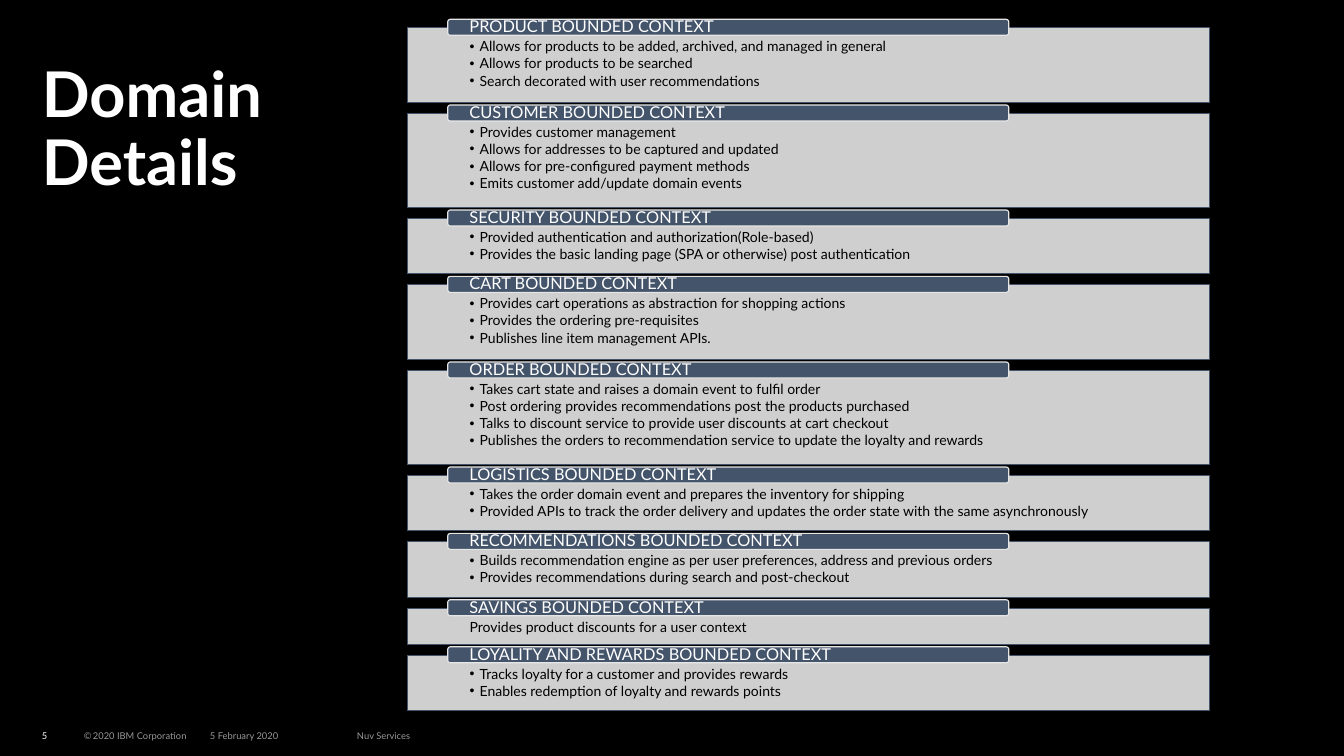
from lxml import etree
from pptx import Presentation
from pptx.dml.color import RGBColor
from pptx.enum import shapes, text
from pptx.oxml import ns
from pptx.util import Inches, Pt

HUES = {"black": "000000", "white": "FFFFFF", "pale": "E7E6E6", "slate": "44546A"}

CARDS = [
    ("PRODUCT BOUNDED CONTEXT", [
        "Allows for products to be added, archived, and managed in general",
        "Allows for products to be searched",
        "Search decorated with user recommendations"]),
    ("CUSTOMER BOUNDED CONTEXT", [
        "Provides customer management",
        "Allows for addresses to be captured and updated",
        "Allows for pre-configured payment methods",
        "Emits customer add/update domain events"]),
    ("SECURITY BOUNDED CONTEXT", [
        "Provided authentication and authorization(Role-based)",
        "Provides the basic landing page (SPA or otherwise) post authentication"]),
    ("CART BOUNDED CONTEXT", [
        "Provides cart operations as abstraction for shopping actions",
        "Provides the ordering pre-requisites",
        "Publishes line item management APIs."]),
    ("ORDER BOUNDED CONTEXT", [
        "Takes cart state and raises a domain event to fulfil order",
        "Post ordering provides recommendations post the products purchased",
        "Talks to discount service to provide user discounts at cart checkout",
        "Publishes the orders to recommendation service to update the loyalty and rewards"]),
    ("LOGISTICS BOUNDED CONTEXT", [
        "Takes the order domain event and prepares the inventory for shipping",
        "Provided APIs to track the order delivery and updates the order state"
        " with the same asynchronously"]),
    ("RECOMMENDATIONS BOUNDED CONTEXT", [
        "Builds recommendation engine as per user preferences, address and previous orders",
        "Provides recommendations during search and post-checkout"]),
    ("SAVINGS BOUNDED CONTEXT", [
        "Provides product discounts for a user context"]),
    ("LOYALITY AND REWARDS BOUNDED CONTEXT", [
        "Tracks loyalty for a customer and provides rewards",
        "Enables redemption of loyalty and rewards points"]),
]

# Footer parts: left, width, opacity in percent, runs with their sizes
FOOTS = [
    (0.5, 0.36, 100, [("5", 8)]),
    (1, 2.5, 60, [("©", 8), (" ", 4), ("2020 IBM Corporation", 8)]),
    (2.5, 1.5, 60, [("5 February 2020", 8)]),
    (4.25, 2.5, 60, [("Nuv Services", 8)]),
]


def add_run(para, words, size, hue, bold=False, alpha=100):
    run = para.add_run()
    run.text = words
    run.font.name = "Lato"
    run.font.size = Pt(size)
    run.font.bold = bold
    run.font.color.rgb = RGBColor.from_string(HUES[hue])
    if alpha < 100:
        fade(run.font.color, run._r, alpha)


def fade(color, node, alpha):
    """Set the opacity, in percent, of the first colour under a node."""
    tone = next(node.iter(ns.qn("a:srgbClr")))
    etree.SubElement(tone, ns.qn("a:alpha"), val=str(alpha * 1000))


prs = Presentation()
prs.slide_width, prs.slide_height = Inches(16), Inches(9)
slide = prs.slides.add_slide(prs.slide_layouts[6])
slide.background.fill.solid()
slide.background.fill.fore_color.rgb = RGBColor.from_string(HUES["black"])

# Footer and title
boxes = [((left, 8.64, wide, 0.24), text.MSO_ANCHOR.MIDDLE, 1,
          [(words, size, "white", False, alpha) for words, size in runs])
         for left, wide, alpha, runs in FOOTS]
boxes.append(((0.5, 0.75, 4.8, 5.75), text.MSO_ANCHOR.TOP, 0.9,
              [("Domain Details", 54, "white", True)]))
for place, anchor, pitch, runs in boxes:
    frame = slide.shapes.add_textbox(*map(Inches, place)).text_frame
    frame.word_wrap = True
    frame.vertical_anchor = anchor
    frame.margin_left = frame.margin_right = 0
    frame.margin_top = frame.margin_bottom = 0
    para = frame.paragraphs[0]
    para.line_spacing = pitch
    for run in runs:
        add_run(para, *run)

# Cards, each as tall as its list, with a header tab over the top edge
top = 0.33
for head, items in CARDS:
    tall = 0.2 + 0.23 * len(items)
    parts = [
        (shapes.MSO_SHAPE.RECTANGLE, (4.85, top, 9.55, tall), "pale", "slate",
         text.MSO_ANCHOR.TOP, (0.74, 0.14, 0.09), items, 12, "black", 1.8),
        (shapes.MSO_SHAPE.ROUNDED_RECTANGLE, (5.33, top - 0.1, 6.68, 0.19), "slate", "pale",
         text.MSO_ANCHOR.MIDDLE, (0.25, 0, 0), [head], 14, "white", 0),
    ]
    for kind, place, fill, edge, anchor, (side, over, under), lines, size, ink, after in parts:
        shape = slide.shapes.add_shape(kind, *map(Inches, place))
        shape.shadow.inherit = False
        shape.fill.solid()
        shape.fill.fore_color.rgb = RGBColor.from_string(HUES[fill])
        shape.line.color.rgb = RGBColor.from_string(HUES[edge])
        shape.line.width = Pt(1)
        if lines is items:
            fade(shape.fill.fore_color, shape._element.spPr, 90)
        frame = shape.text_frame
        frame.word_wrap = True
        frame.vertical_anchor = anchor
        frame.margin_left = frame.margin_right = Inches(side)
        frame.margin_top, frame.margin_bottom = Inches(over), Inches(under)
        for i, line in enumerate(lines):
            para = frame.add_paragraph() if i else frame.paragraphs[0]
            para.alignment = text.PP_ALIGN.LEFT
            para.line_spacing = 0.9
            para.space_after = Pt(after)
            if len(lines) > 1:
                props = para._p.get_or_add_pPr()
                props.set("marL", str(Inches(0.12)))
                props.set("indent", str(-Inches(0.12)))
                etree.SubElement(props, ns.qn("a:buFont"), typeface="Arial")
                etree.SubElement(props, ns.qn("a:buChar"), char="•")
            add_run(para, line, size, ink)
    top += tall + 0.13

prs.save("out.pptx")
